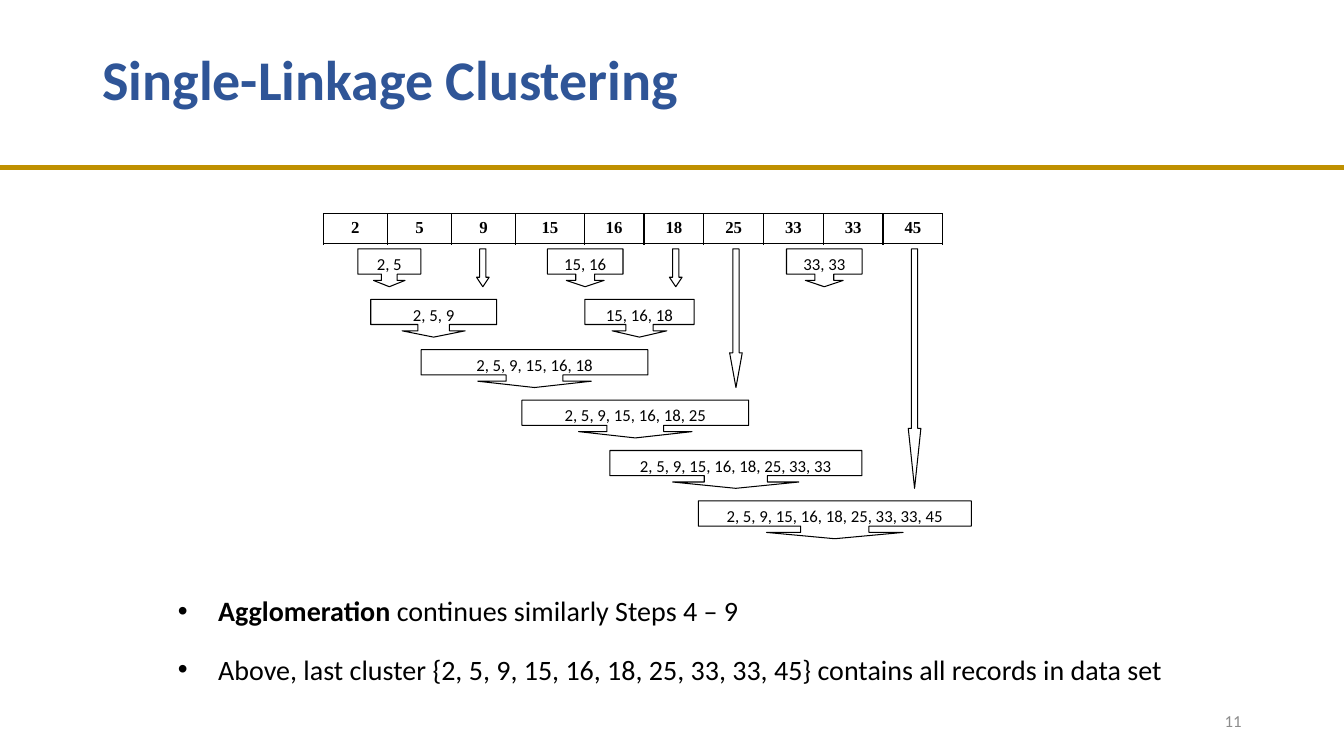
from lxml import etree
from pptx import Presentation
from pptx.dml.color import RGBColor
from pptx.enum import shapes, text
from pptx.oxml import ns
from pptx.util import Pt

MID = text.MSO_ANCHOR.MIDDLE
TOP = text.MSO_ANCHOR.TOP
LEFT = text.PP_ALIGN.LEFT
CENTER = text.PP_ALIGN.CENTER
RIGHT = text.PP_ALIGN.RIGHT
KINDS = shapes.MSO_SHAPE


def color(code):
    return RGBColor.from_string(code)


def node(parent, tag, **attrs):
    return etree.SubElement(parent, ns.qn(tag), attrs)


class Deck:
    """Holds the style and the current slide."""
    font = "Calibri"
    ink = "000000"
    paper = "FFFFFF"

    def __init__(self):
        self.prs = Presentation()
        self.prs.slide_width = Pt(960)
        self.prs.slide_height = Pt(540)
        self.slide = self.prs.slides.add_slide(self.prs.slide_layouts[5])

    def put(self, par, words, size=12, font=None, ink=None, bold=False,
            align=LEFT):
        """Add a formatted run to a paragraph."""
        par.alignment = align
        run = par.add_run()
        run.text = words
        run.font.size = Pt(size)
        run.font.name = font or self.font
        run.font.bold = bold
        run.font.color.rgb = color(ink or self.ink)

    def title(self, words, x, y, w, h, **style):
        box = self.slide.shapes.title
        box.left, box.top, box.width, box.height = map(Pt, (x, y, w, h))
        frame = box.text_frame
        frame.vertical_anchor = MID
        frame.paragraphs[0].line_spacing = 0.9
        self.put(frame.paragraphs[0], words, **style)

    def frame(self, x, y, w, h, anchor=TOP):
        """Add a wrapping text box and return its text frame."""
        box = self.slide.shapes.add_textbox(*map(Pt, (x, y, w, h)))
        box.text_frame.word_wrap = True
        box.text_frame.vertical_anchor = anchor
        return box.text_frame

    def label(self, words, x, y, w, h, **style):
        frame = self.frame(x, y, w, h, MID)
        self.put(frame.paragraphs[0], words, **style)

    def bullets(self, items, x, y, w, h, size):
        """Add a bullet list; each item is a list of (words, bold) pairs."""
        frame = self.frame(x, y, w, h)
        for i, item in enumerate(items):
            par = frame.add_paragraph() if i else frame.paragraphs[0]
            par.space_before = Pt(6)
            par.space_after = Pt(12)
            for words, bold in item:
                self.put(par, words, size=size, bold=bold)
            props = par._p.get_or_add_pPr()
            indent = Pt(28.8)
            props.set("marL", str(indent))
            props.set("indent", str(-indent))
            node(props, "a:buFont", typeface="Arial")
            node(props, "a:buChar", char="•")

    def rule(self, x1, y1, x2, y2, ink, width):
        line = self.slide.shapes.add_connector(
            shapes.MSO_CONNECTOR.STRAIGHT, *map(Pt, (x1, y1, x2, y2)))
        line.line.color.rgb = color(ink)
        line.line.width = Pt(width)
        node(line._element.spPr, "a:effectLst")

    def shape(self, kind, x, y, w, h, adjust, fill=True):
        item = self.slide.shapes.add_shape(kind, *map(Pt, (x, y, w, h)))
        item.shadow.inherit = False
        if fill:
            item.fill.solid()
            item.fill.fore_color.rgb = color(self.paper)
        else:
            item.fill.background()
        item.line.color.rgb = color(self.ink)
        item.line.width = Pt(0.75)
        for i, value in enumerate(adjust):
            item.adjustments[i] = value
        return item

    def callout(self, words, x, y, w, h, fill=True):
        head = w / h / 4
        item = self.shape(KINDS.DOWN_ARROW_CALLOUT, x, y, w, h,
                          (head, head, 1 / 6, 2 / 3), fill)
        frame = item.text_frame
        frame.word_wrap = True
        frame.vertical_anchor = TOP
        self.put(frame.paragraphs[0], words, align=CENTER)

    def arrow(self, x, y, w, h):
        self.shape(KINDS.DOWN_ARROW, x, y, w, h, (0.5, h / w / 4))

    def border(self, cell, width):
        props = cell._tc.get_or_add_tcPr()
        for i, side in enumerate(("a:lnL", "a:lnR", "a:lnT", "a:lnB")):
            line = node(props, side, w=str(Pt(width)))
            node(node(line, "a:solidFill"), "a:srgbClr", val=self.ink)
            props.insert(i, line)

    def table(self, values, x, y, widths, h, **style):
        """Add a table of one row."""
        grid = self.slide.shapes.add_table(
            1, len(values), *map(Pt, (x, y, sum(widths), h))).table
        grid.first_row = grid.horz_banding = False
        grid.rows[0].height = Pt(h)
        for i, (value, width) in enumerate(zip(values, widths)):
            grid.columns[i].width = Pt(width)
            cell = grid.cell(0, i)
            cell.fill.background()
            self.border(cell, 1)
            self.put(cell.text_frame.paragraphs[0], value, **style)


def main():
    deck = Deck()
    deck.rule(0, 119.5, 960, 119.5, "BF9000", 3.25)
    deck.title("Single-Linkage Clustering", 66, 6.5, 828, 104.4,
               size=40, ink="2F5597", bold=True)
    deck.bullets([
        [("Agglomeration", True), (" continues similarly Steps 4 – 9", False)],
        [("Above, last cluster {2, 5, 9, 15, 16, 18, 25, 33, 33, 45} "
          "contains all records in data set", False)],
    ], 120, 420.5, 774, 107, 20)

    top, step, high = 177.8, 36, 27
    merges = [  # words, level, left, width
        ("2, 5", 0, 255.6, 45),
        ("2, 5, 9", 1, 264.8, 90),
        ("2, 5, 9, 15, 16, 18, 25, 33, 33", 4, 435.6, 180),
        ("2, 5, 9, 15, 16, 18", 2, 300.8, 162),
        ("2, 5, 9, 15, 16, 18, 25", 3, 372.8, 162),
        ("15, 16, 18", 1, 417.8, 78),
        ("33, 33", 0, 561.8, 54),
        ("15, 16", 0, 391, 54),
        ("2, 5, 9, 15, 16, 18, 25, 33, 33, 45", 5, 498.8, 195),
    ]
    for words, level, x, w in merges:
        deck.callout(words, x, top + level * step, w, high, fill=level < 5)
    for x, levels in ((340.4, 0), (478.2, 0), (521.2, 2), (648.8, 4)):
        deck.arrow(x, top, 9, high + levels * step)

    deck.table("2 5 9 15 16 18 25 33 33 45".split(), 231, 152.6,
               [45.8] * 3 + [49] + [42.7] * 6, 21.6,
               font="Times New Roman", bold=True, align=CENTER)
    deck.label("11", 678, 500.5, 216, 28.8, ink="8C8C8C", align=RIGHT)
    deck.prs.save("out.pptx")


if __name__ == "__main__":
    main()
